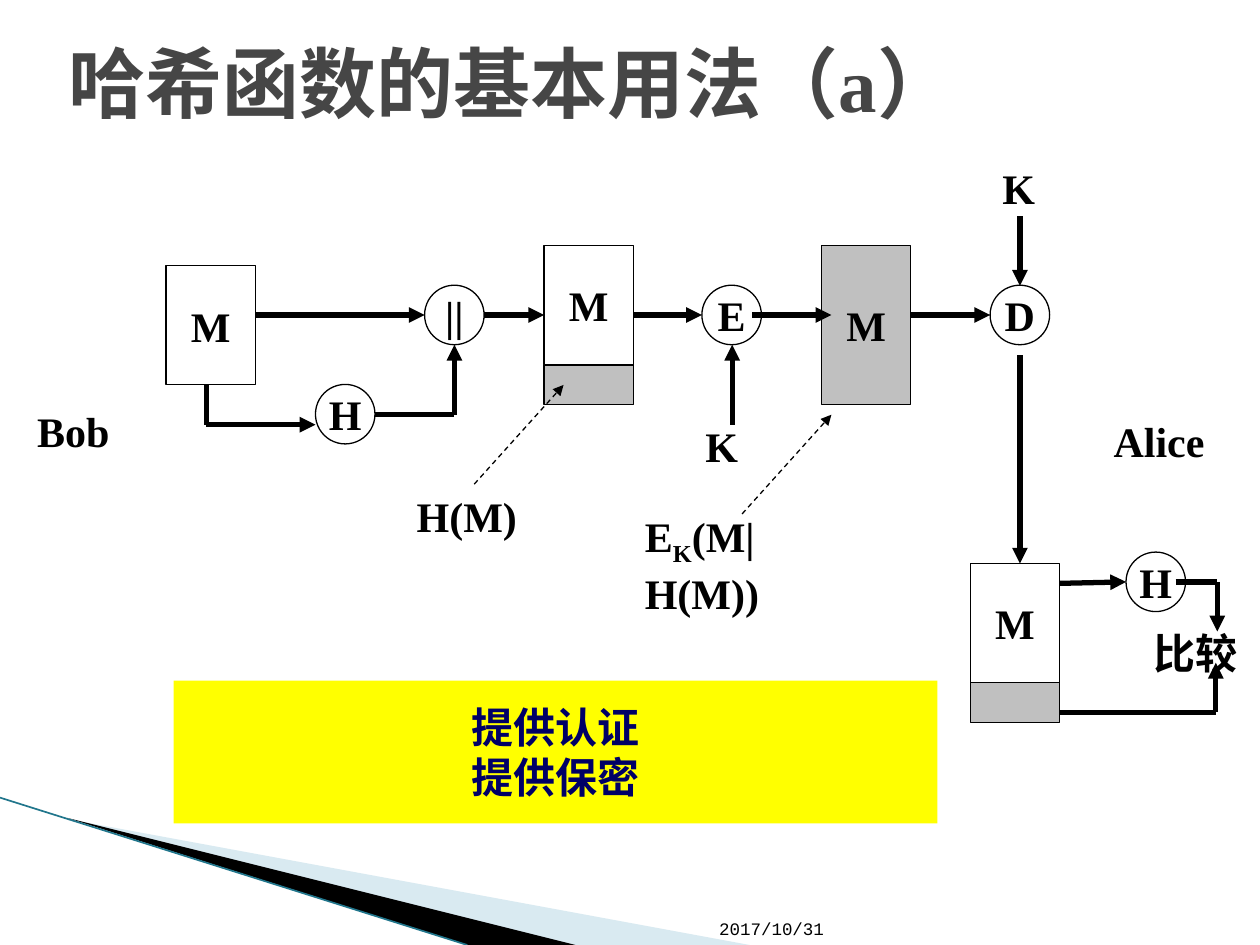
from itertools import pairwise

from lxml.etree import SubElement
from pptx import Presentation
from pptx.dml.color import RGBColor
from pptx.enum.dml import MSO_LINE
from pptx.enum.shapes import MSO_CONNECTOR, MSO_SHAPE
from pptx.enum.text import MSO_ANCHOR, MSO_AUTO_SIZE, PP_ALIGN
from pptx.oxml.ns import qn
from pptx.util import Cm, Pt

# All positions and sizes are in centimetres.
TITLE = "哈希函数的基本用法（a）"
DATE = "2017/10/31"
CONCLUSIONS = ["提供认证", "提供保密"]

BLACK, WHITE, GREY = "000000", "FFFFFF", "C0C0C0"
BOX_WIDTH, MESSAGE_HEIGHT, HASH_HEIGHT, CIRCLE = 1.8, 2.4, 0.8, 1.2
FLOW = 6.35  # height of the main arrow line
CIRCLE_TOP = FLOW - CIRCLE / 2

# text, left, top, height, fill
BOXES = [
    ("M", 3.35, 5.36, MESSAGE_HEIGHT, WHITE),
    ("M", 10.97, 4.95, MESSAGE_HEIGHT, WHITE),
    ("", 10.97, 7.36, HASH_HEIGHT, GREY),
    ("M", 16.56, 4.95, MESSAGE_HEIGHT + HASH_HEIGHT, GREY),
    ("M", 19.56, 11.36, MESSAGE_HEIGHT, WHITE),
    ("", 19.56, 13.76, HASH_HEIGHT, GREY),
]
# text, left, top
CIRCLES = [
    ("||", 8.56, CIRCLE_TOP),
    ("E", 14.15, CIRCLE_TOP),
    ("D", 19.96, CIRCLE_TOP),
    ("H", 6.36, 7.75),
    ("H", 22.7, 11.13),
]
# each arrow runs through its points and ends in an arrowhead
ARROWS = [
    [(5.15, FLOW), (8.56, FLOW)],
    [(9.76, FLOW), (10.97, FLOW)],
    [(12.77, FLOW), (14.15, FLOW)],
    [(15.16, FLOW), (16.76, FLOW)],
    [(18.36, FLOW), (19.96, FLOW)],
    [(4.16, 7.76), (4.16, 8.56), (6.36, 8.56)],
    [(7.56, 8.36), (9.16, 8.36), (9.16, 6.95)],
    [(14.76, 8.56), (14.76, 6.95)],
    [(20.56, 4.36), (20.56, 5.76)],
    [(20.56, 7.16), (20.56, 11.36)],
    [(21.36, 11.76), (22.7, 11.73)],
    [(23.7, 11.73), (24.54, 11.73), (24.54, 12.73)],
    [(21.36, 14.36), (24.51, 14.36), (24.51, 13.36)],
]
POINTERS = [
    [(9.56, 9.76), (11.36, 7.76)],
    [(14.96, 10.36), (16.76, 8.36)],
]
# runs as (text, baseline in percent), left, top, width
LABELS = [
    ([("Bob", 0)], 0.5, 8.06, 3.6),
    ([("Alice", 0)], 22.2, 8.26, 2.6),
    ([("K", 0)], 19.96, 3.15, 1.8),
    ([("K", 0)], 13.97, 8.36, 1.8),
    ([("H(M)", 0)], 8.15, 9.76, 3.6),
    ([("E", 0), ("K", -25), ("(M|H(M))", 0)], 12.75, 10.16, 5),
    ([("比较", 0)], 23, 12.53, 2.4),
]
# points, fill, opacity in percent
SWOOSHES = [
    ([(1.4, 16.52), (15.11, 19.05), (11.58, 19.05)], "A0CBDC", 40),
    ([(1.36, 16.49), (11.6, 19.05), (9.42, 19.05)], BLACK, 100),
]


def color(hex_string):
    return RGBColor.from_string(hex_string)


def write(shape, paragraphs, size=24, font="Times New Roman", ink=BLACK, bold=True,
          align=PP_ALIGN.LEFT, anchor=MSO_ANCHOR.TOP, wrap=True):
    """Fill a shape; each paragraph is a list of (text, baseline percent) runs."""
    frame = shape.text_frame
    frame.auto_size = MSO_AUTO_SIZE.NONE
    frame.word_wrap = wrap
    frame.vertical_anchor = anchor
    for index, runs in enumerate(paragraphs):
        paragraph = frame.add_paragraph() if index else frame.paragraphs[0]
        paragraph.alignment = align
        for text, baseline in runs:
            run = paragraph.add_run()
            run.text = text
            run.font.size, run.font.name, run.font.bold = Pt(size), font, bold
            run.font.color.rgb = color(ink)
            if baseline:
                run.font._element.set("baseline", str(baseline * 1000))


def add_text(slide, runs, left, top, width, height=1.27, **text_format):
    box = slide.shapes.add_textbox(Cm(left), Cm(top), Cm(width), Cm(height))
    write(box, [runs], **text_format)


def add_node(slide, kind, lines, left, top, width, height, fill, outlined=True, ink=BLACK):
    shape = slide.shapes.add_shape(kind, Cm(left), Cm(top), Cm(width), Cm(height))
    shape.shadow.inherit = False
    shape.fill.solid()
    shape.fill.fore_color.rgb = color(fill)
    if outlined:
        shape.line.color.rgb = color(BLACK)
        shape.line.width = Pt(0.75)
    else:
        shape.line.fill.background()
    write(shape, [[(line, 0)] for line in lines if line], ink=ink,
          align=PP_ALIGN.CENTER, anchor=MSO_ANCHOR.MIDDLE, wrap=False)


def add_line(slide, points, width=3, ink=BLACK, dashed=False, arrow=True):
    """Join the points by straight lines, with an arrowhead at the last one."""
    for start, end in pairwise(points):
        line = slide.shapes.add_connector(
            MSO_CONNECTOR.STRAIGHT, *(Cm(value) for value in start + end))
        line.line.color.rgb = color(ink)
        line.line.width = Pt(width)
        if dashed:
            line.line.dash_style = MSO_LINE.DASH
        if arrow and end == points[-1]:
            SubElement(line.line._get_or_add_ln(), qn("a:tailEnd"), type="triangle")
        SubElement(line._element.spPr, qn("a:effectLst"))


def add_swoosh(slide, points, fill, opacity):
    start, *others = [(Cm(x), Cm(y)) for x, y in points]
    builder = slide.shapes.build_freeform(*start)
    builder.add_line_segments(others, close=True)
    shape = builder.convert_to_shape()
    shape.shadow.inherit = False
    shape.fill.solid()
    shape.fill.fore_color.rgb = color(fill)
    shape.line.fill.background()
    if opacity < 100:
        tone = shape._element.spPr.find(qn("a:solidFill"))[0]
        SubElement(tone, qn("a:alpha"), val=str(opacity * 1000))


def main():
    presentation = Presentation()
    presentation.slide_width, presentation.slide_height = Cm(25.4), Cm(19.05)
    slide = presentation.slides.add_slide(presentation.slide_layouts[5])

    for swoosh in SWOOSHES:
        add_swoosh(slide, *swoosh)
    add_line(slide, [(0, 16.08), (9.42, 19.05)], width=0.95, ink="21768C", arrow=False)

    title = slide.shapes.title
    title.left, title.top, title.width, title.height = Cm(1.12), Cm(0.05), Cm(22.86), Cm(3.18)
    write(title, [[(TITLE, 0)]], size=44, ink="464646", anchor=MSO_ANCHOR.MIDDLE)
    add_text(slide, [(DATE, 0)], 14.25, 17.8, 2.85, 1.25, size=10, font="Courier New",
             bold=False, anchor=MSO_ANCHOR.BOTTOM)

    for text, left, top, height, fill in BOXES:
        add_node(slide, MSO_SHAPE.RECTANGLE, [text], left, top, BOX_WIDTH, height, fill)
    for text, left, top in CIRCLES:
        add_node(slide, MSO_SHAPE.OVAL, [text], left, top, CIRCLE, CIRCLE, WHITE)
    add_node(slide, MSO_SHAPE.RECTANGLE, CONCLUSIONS, 3.5, 13.72, 15.4, 2.88, "FFFF00",
             outlined=False, ink="000066")

    for points in ARROWS:
        add_line(slide, points)
    for points in POINTERS:
        add_line(slide, points, width=0.75, dashed=True)
    for label in LABELS:
        add_text(slide, *label)

    presentation.save("out.pptx")


if __name__ == "__main__":
    main()
